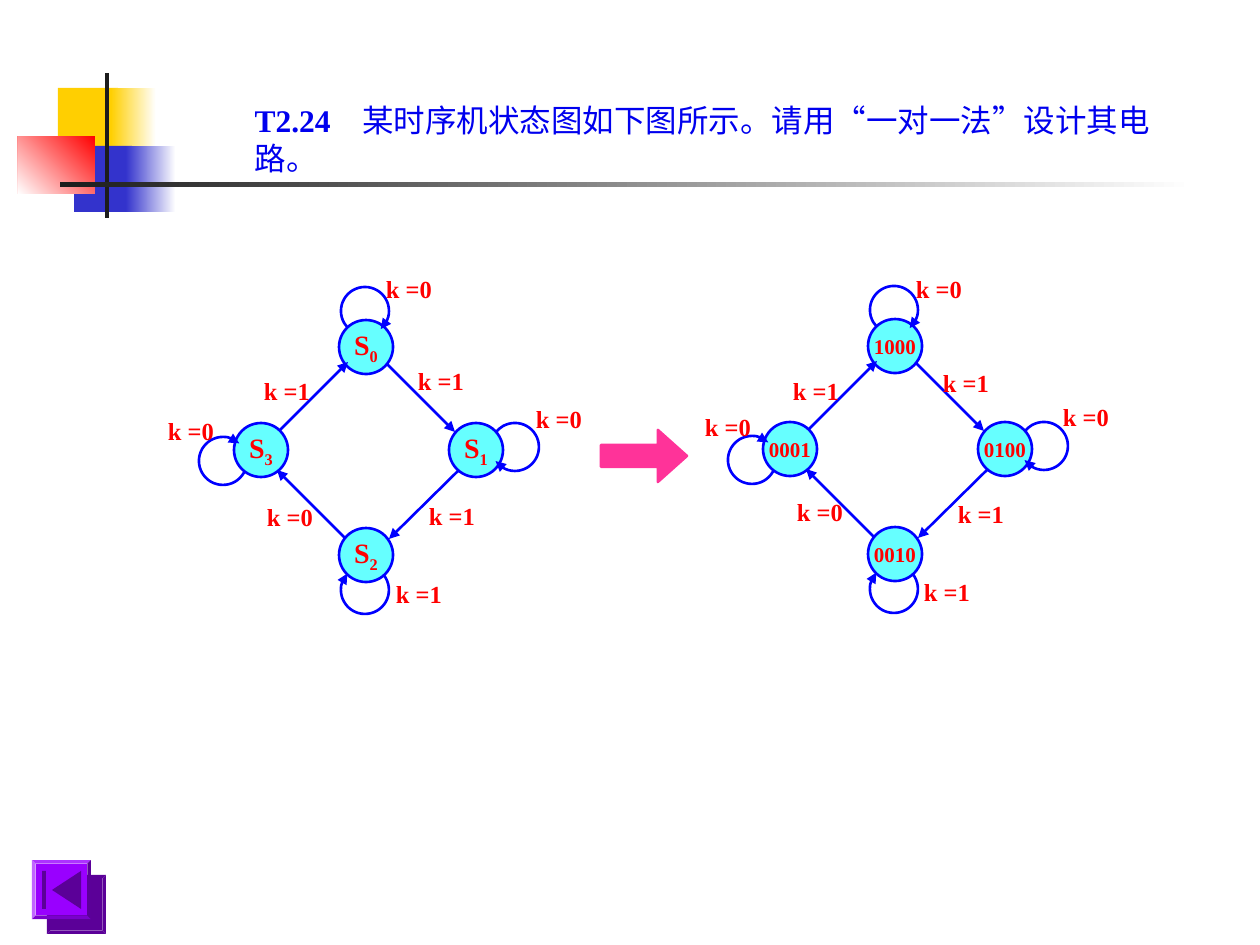
from dataclasses import dataclass

from lxml import etree
from pptx import Presentation
from pptx.dml.color import RGBColor
from pptx.enum.shapes import MSO_CONNECTOR, MSO_SHAPE
from pptx.enum.text import MSO_ANCHOR, MSO_AUTO_SIZE, PP_ALIGN
from pptx.oxml.ns import qn
from pptx.util import Emu, Pt

RECT, OVAL, ARC = MSO_SHAPE.RECTANGLE, MSO_SHAPE.OVAL, MSO_SHAPE.ARC
BEVEL, RIGHT_ARROW = MSO_SHAPE.BEVEL, MSO_SHAPE.RIGHT_ARROW
STRAIGHT = MSO_CONNECTOR.STRAIGHT
LEFT, CENTER = PP_ALIGN.LEFT, PP_ALIGN.CENTER
TOP, MIDDLE = MSO_ANCHOR.TOP, MSO_ANCHOR.MIDDLE
NO_FIT = MSO_AUTO_SIZE.NONE
PX_PER_INCH = 126


@dataclass(frozen=True)
class Theme:
    font: str = "Times New Roman"
    title: str = "0000EE"
    label: str = "FF0000"
    edge: str = "0000FF"
    node: str = "66FFFF"
    arrow: str = "FF3399"
    white: str = "FFFFFF"
    yellow: str = "FFCF01"
    blue: str = "3333CC"
    red: str = "FF0000"
    dark: str = "1C1C1C"
    button: str = "9900FF"
    button_dark: str = "5B0098"
    title_size: int = 18
    state_size: int = 16
    label_size: int = 14
    code_size: int = 12
    line: float = 1.5


THEME = Theme()

# State machine geometry, shared by both diagrams
NODE_SIZE, LOOP_SIZE = 54, 48
NODES = [(339, 320), (449, 423), (339, 528), (234, 423)]
EDGES = [(387, 364, 455, 432), (459, 470, 389, 539),
         (345, 538, 277, 470), (280, 430, 348, 362)]
# left, top, start angle, end angle (clockwise)
LOOPS = [(341, 287, 137, 49), (491, 423, 219, 144),
         (341, 566, 324, 223), (199, 437, 25, 313)]
CODED_SHIFT = (529, -1)

LABEL_TEXTS = ["k =0"] * 4 + ["k =1"] * 4
STATE_LABELS = [(365, 268), (515, 398), (246, 496), (147, 410),
                (243, 370), (397, 360), (408, 495), (375, 573)]
CODED_LABELS = [(895, 268), (1042, 396), (776, 491), (684, 406),
                (772, 370), (922, 362), (937, 493), (903, 571)]


def px(n):
    return Emu(round(n * 914400 / PX_PER_INCH))


def rgb(color):
    return RGBColor.from_string(color)


def format_run(r, size, color, bold=True):
    r.font.name = THEME.font
    r.font.size = Pt(size)
    r.font.bold = bold
    r.font.color.rgb = rgb(color)


def style(sp, fill=None, line=None):
    sp.shadow.inherit = False
    if fill:
        sp.fill.solid()
        sp.fill.fore_color.rgb = rgb(fill)
    else:
        sp.fill.background()
    if line:
        sp.line.color.rgb = rgb(line)
        sp.line.width = Pt(THEME.line)
    else:
        sp.line.fill.background()


def add_shape(slide, kind, box, fill=None, line=None):
    sp = slide.shapes.add_shape(kind, *map(px, box))
    style(sp, fill, line)
    return sp


def add_fade(slide, box, start, end, angle=0):
    sp = add_shape(slide, RECT, box)
    sp.fill.gradient()
    sp.fill.gradient_angle = angle
    for stop, color in zip(sp.fill.gradient_stops, (start, end)):
        stop.color.rgb = rgb(color)


def add_arrowhead(sp):
    ln = sp._element.spPr.find(qn("a:ln"))
    etree.SubElement(ln, qn("a:tailEnd"), type="triangle")


def add_node(slide, x, y, name, subscript, size):
    sp = add_shape(slide, OVAL, (x, y, NODE_SIZE, NODE_SIZE), THEME.node, THEME.edge)
    tf = sp.text_frame
    tf.word_wrap = False
    tf.vertical_anchor = MIDDLE
    p = tf.paragraphs[0]
    p.alignment = CENTER
    r = p.add_run()
    r.text = name
    format_run(r, size, THEME.label)
    if subscript:
        r = p.add_run()
        r.text = subscript
        format_run(r, size, THEME.label)
        r.font._element.set("baseline", "-25000")


def add_edge(slide, x1, y1, x2, y2):
    cn = slide.shapes.add_connector(STRAIGHT, *map(px, (x1, y1, x2, y2)))
    cn.line.color.rgb = rgb(THEME.edge)
    cn.line.width = Pt(THEME.line)
    add_arrowhead(cn)
    etree.SubElement(cn._element.spPr, qn("a:effectLst"))


def add_loop(slide, x, y, start, end):
    sp = add_shape(slide, ARC, (x, y, LOOP_SIZE, LOOP_SIZE), line=THEME.edge)
    # Angles are stored in 60000ths of a degree, adjustments in 100000ths
    sp.adjustments[0] = start * 0.6
    sp.adjustments[1] = end * 0.6
    add_arrowhead(sp)


def add_label(slide, x, y, text):
    tf = slide.shapes.add_textbox(px(x), px(y), px(88), px(43)).text_frame
    tf.word_wrap = True
    p = tf.paragraphs[0]
    p.text = text
    p.alignment = CENTER
    format_run(p.runs[0], THEME.label_size, THEME.label)


def add_machine(slide, states, size, labels, shift=(0, 0)):
    dx, dy = shift
    for (x, y), (name, subscript) in zip(NODES, states):
        add_node(slide, x + dx, y + dy, name, subscript, size)
    for x1, y1, x2, y2 in EDGES:
        add_edge(slide, x1 + dx, y1 + dy, x2 + dx, y2 + dy)
    for x, y, start, end in LOOPS:
        add_loop(slide, x + dx, y + dy, start, end)
    for (x, y), text in zip(labels, LABEL_TEXTS):
        add_label(slide, x, y, text)


def add_decoration(slide):
    t = THEME
    add_shape(slide, RECT, (58, 88, 60, 66), t.yellow)
    add_fade(slide, (111, 88, 45, 66), t.yellow, t.white)
    add_shape(slide, RECT, (74, 146, 58, 66), t.blue)
    add_fade(slide, (126, 146, 50, 66), t.blue, t.white)
    add_fade(slide, (18, 136, 77, 58), t.red, t.white, 225)
    add_shape(slide, RECT, (105, 73, 4, 145), t.dark)
    add_fade(slide, (60, 182, 1134, 5), t.dark, t.white)


def set_title(slide):
    title = slide.shapes.title
    title.left, title.top, title.width, title.height = map(px, (242, 95, 945, 88))
    tf = title.text_frame
    tf.word_wrap = True
    tf.auto_size = NO_FIT
    tf.vertical_anchor = TOP
    p = tf.paragraphs[0]
    p.alignment = LEFT
    for text, bold in (("T2.24", True),
                       ("　某时序机状态图如下图所示。请用“一对一法”设计其电路。", False)):
        r = p.add_run()
        r.text = text
        format_run(r, THEME.title_size, THEME.title, bold)


def add_back_button(slide):
    sp = add_shape(slide, BEVEL, (32, 860, 59, 59), THEME.button)
    sp.adjustments[0] = 0.06
    effects = sp._element.spPr.find(qn("a:effectLst"))
    shadow = etree.SubElement(effects, qn("a:outerShdw"), dist=str(Pt(12.1)),
                              dir="2700000", algn="ctr", rotWithShape="0")
    etree.SubElement(shadow, qn("a:srgbClr"), val=THEME.button_dark)
    # Icon: bar and left-pointing triangle
    add_shape(slide, RECT, (42, 871, 4, 38), THEME.button_dark)
    fb = slide.shapes.build_freeform(px(52), px(890), scale=1.0)
    fb.add_line_segments([(px(81), px(871)), (px(81), px(909))], close=True)
    style(fb.convert_to_shape(), THEME.button_dark)


def main():
    prs = Presentation()
    prs.slide_width, prs.slide_height = px(1260), px(945)
    slide = prs.slides.add_slide(prs.slide_layouts[5])
    add_decoration(slide)
    set_title(slide)
    # Symbolic states, then the one-hot codes
    add_machine(slide, [("S", str(i)) for i in range(4)], THEME.state_size, STATE_LABELS)
    add_machine(slide, [(f"{8 >> i:04b}", "") for i in range(4)], THEME.code_size,
                CODED_LABELS, CODED_SHIFT)
    arrow = add_shape(slide, RIGHT_ARROW, (601, 430, 86, 52), THEME.arrow, THEME.arrow)
    arrow.adjustments[0], arrow.adjustments[1] = 0.42, 0.56
    add_back_button(slide)
    prs.save("out.pptx")


if __name__ == "__main__":
    main()
